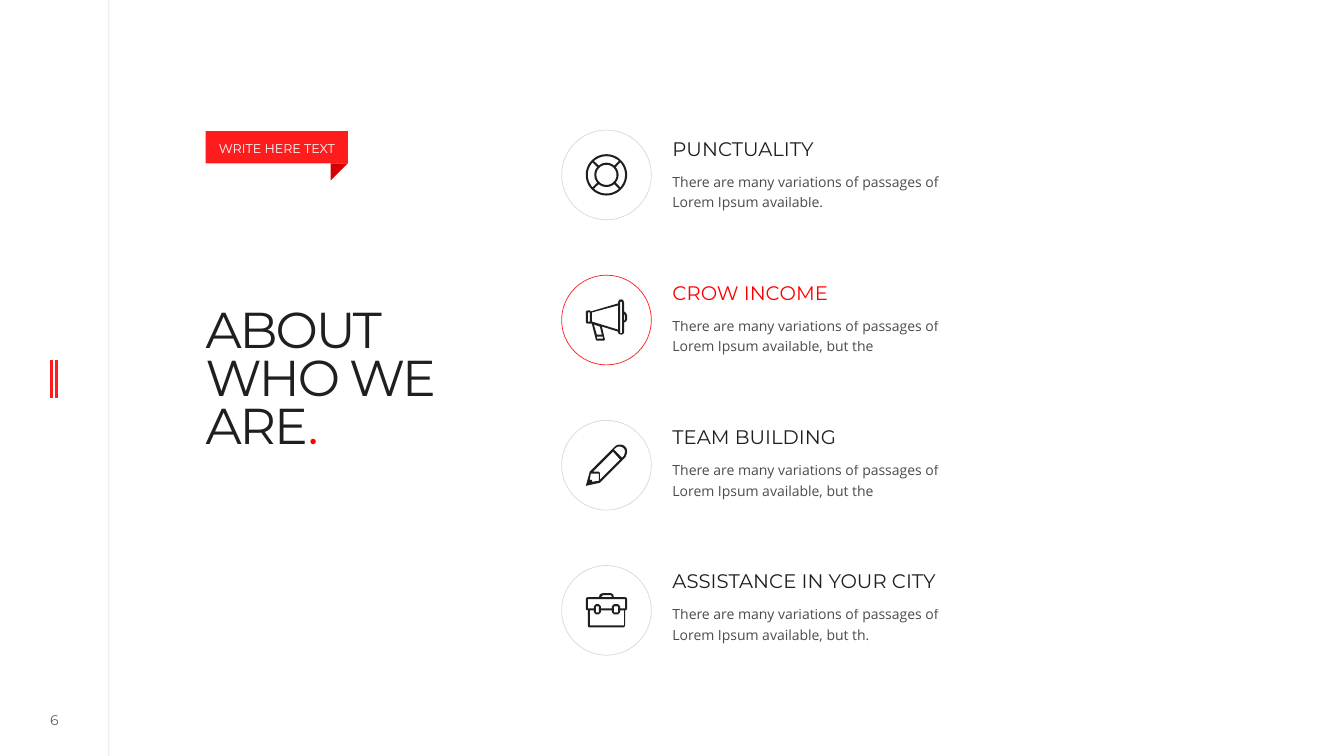
import math
from dataclasses import dataclass

import pptx
import pptx.dml.color
import pptx.enum.shapes
import pptx.enum.text
import pptx.oxml
import pptx.oxml.ns
import pptx.util

Inches = pptx.util.Inches
Pt = pptx.util.Pt
RGBColor = pptx.dml.color.RGBColor
MSO_SHAPE = pptx.enum.shapes.MSO_SHAPE
ANCHOR = pptx.enum.text.MSO_ANCHOR
ALIGN = pptx.enum.text.PP_ALIGN
qn = pptx.oxml.ns.qn

INK = RGBColor(0x1F, 0x1F, 0x1F)
RED = RGBColor(0xFE, 0x1C, 0x1D)
BRIGHT_RED = RGBColor(0xFF, 0x00, 0x00)
DARK_RED = RGBColor(0xD3, 0x01, 0x02)
GREY = RGBColor(0xD9, 0xD9, 0xD9)
WHITE = RGBColor(0xFF, 0xFF, 0xFF)
HEAD_FONT, BODY_FONT = "Montserrat", "Open Sans"

CIRCLE_TOP, CIRCLE_PITCH, CIRCLE_SIZE = 1.29, 1.44, 0.89
TEXT_TOP, TEXT_PITCH = 1.37, 1.43

Contour = list[tuple[float, float]]


def arc(radius: float, start: float, end: float) -> Contour:
    """Points on an arc around the lifebuoy centre, angles in degrees."""
    steps = max(2, round(abs(end - start) / 6))
    angles = [math.radians(start + (end - start) * i / steps) for i in range(steps + 1)]
    return [(20.5 + radius * math.cos(a), 20.5 + radius * math.sin(a)) for a in angles]


def lifebuoy_segment(middle: float) -> Contour:
    """One of the four ring openings, separated by bars of even width."""
    outer, inner = (45 - math.degrees(math.asin(1 / r)) for r in (18.5, 12))
    return arc(18.5, middle - outer, middle + outer) + arc(12, middle + inner, middle - inner)


# Icon contours in hundredths of an inch: the outer edge, then the openings
LIFEBUOY = [arc(20.5, 0, 360), arc(10, 0, 360)] + [lifebuoy_segment(90 * i) for i in range(4)]
MEGAPHONE = [
    [(38, 12), (38, 3), (37, 0.5), (35, 0), (33, 0.5), (32, 3), (32, 4), (5, 12), (4, 11),
     (2, 11), (0.5, 11.5), (0, 13), (0, 22), (0.5, 23.5), (2, 24), (6, 24), (10, 40),
     (11, 41), (18, 41), (19, 40), (16, 27), (32, 32), (32, 33), (33, 34.5), (35, 35),
     (37, 34.5), (38, 33), (38, 23), (40, 22), (41, 20), (41, 16), (40, 13.5)],
    [(39, 20), (38, 22), (38, 14), (39, 16)],
    [(36, 33), (35, 34), (34, 33), (34, 3), (35, 2), (36, 3)],
    [(32, 30), (6, 22), (6, 13), (32, 6)],
    [(16, 35), (11, 35), (8, 25), (14, 27)],
    [(17, 39), (11, 39), (11, 37), (17, 37)],
    [(4, 22), (2, 22), (2, 13), (4, 13)],
]
PENCIL = [
    [(34, 0), (31, 0.5), (29, 2), (4, 27), (0, 41), (14, 38), (39, 13), (40.5, 10),
     (41, 7), (40.5, 4), (39, 2), (37, 0.5)],
    [(38, 11), (36, 13), (28, 5), (30, 3), (32, 2.2), (34, 2), (37, 3), (38.5, 5), (39, 7)],
    [(14, 35), (14, 28), (13, 27), (7, 27), (27, 7), (34, 15)],
    [(13, 36), (6, 37), (6, 35), (4, 35), (5, 29), (13, 29)],
]
BRIEFCASE = [
    [(39, 4), (28, 4), (27, 1), (25, 0), (17, 0), (14, 1), (13, 4), (2, 4), (0.5, 4.5),
     (0, 6), (0, 15), (0.5, 16.5), (2, 17), (2, 32), (2.5, 33.5), (4, 34), (38, 34),
     (39, 32), (39, 17), (40.5, 16.5), (41, 15), (41, 6), (40.5, 4.5)],
    [(39, 15), (34, 15), (34, 13), (32, 11), (28, 11), (26, 13), (26, 15), (15, 15),
     (15, 13), (13, 11), (10, 11), (8, 13), (8, 15), (2, 15), (2, 6), (39, 6)],
    [(28, 13), (32, 13), (32, 19), (28, 19)],
    [(10, 13), (13, 13), (13, 19), (10, 19)],
    [(38, 32), (4, 32), (4, 17), (8, 17), (8, 19), (10, 21), (13, 21), (15, 19), (15, 17),
     (26, 17), (26, 19), (28, 21), (32, 21), (34, 19), (34, 17), (38, 17)],
    [(17, 2), (25, 2), (26, 4), (15, 4)],
]


@dataclass
class Feature:
    heading: str
    body: str
    icon: list[Contour]
    ring: RGBColor = GREY
    color: RGBColor = INK


FEATURES = [
    Feature("PUNCTUALITY", "There are many variations of passages of Lorem Ipsum available.",
            LIFEBUOY),
    Feature("CROW INCOME",
            "There are many variations of passages of Lorem Ipsum available, but the",
            MEGAPHONE, RED, BRIGHT_RED),
    Feature("TEAM BUILDING",
            "There are many variations of passages of Lorem Ipsum available, but the", PENCIL),
    Feature("ASSISTANCE IN YOUR CITY",
            "There are many variations of passages of Lorem Ipsum available, but th.", BRIEFCASE),
]


def set_opacity(element, percent: int) -> None:
    for color in element.iter(qn("a:srgbClr")):
        color.append(pptx.oxml.parse_xml(
            '<a:alpha xmlns:a="http://schemas.openxmlformats.org/drawingml/2006/main" '
            f'val="{percent * 1000}"/>'))


def add_rule(slide, x: float, top: float, bottom: float, color: RGBColor, width: float):
    line = slide.shapes.add_connector(pptx.enum.shapes.MSO_CONNECTOR.STRAIGHT,
                                      Inches(x), Inches(top), Inches(x), Inches(bottom))
    line.line.color.rgb = color
    line.line.width = Pt(width)
    line._element.spPr.append(pptx.oxml.parse_xml(
        '<a:effectLst xmlns:a="http://schemas.openxmlformats.org/drawingml/2006/main"/>'))
    return line


def add_preset(slide, kind, box: tuple, fill: RGBColor | None = None,
               ring: RGBColor | None = None):
    sp = slide.shapes.add_shape(kind, *map(Inches, box))
    sp.shadow.inherit = False
    if fill is None:
        sp.fill.background()
    else:
        sp.fill.solid()
        sp.fill.fore_color.rgb = fill
    if ring is None:
        sp.line.fill.background()
    else:
        sp.line.color.rgb = ring
        sp.line.width = Pt(0.5)
    return sp


def write(sp, text: str, font: str, size: float, color: RGBColor, top: float = 0,
          bottom: float = 0, spacing: float = 1, align=ALIGN.LEFT, anchor=ANCHOR.TOP):
    """Fill a shape with one paragraph and return the paragraph."""
    tf = sp.text_frame
    tf.word_wrap = True
    tf.vertical_anchor = anchor
    tf.margin_left = tf.margin_right = 0
    tf.margin_top, tf.margin_bottom = Inches(top), Inches(bottom)
    p = tf.paragraphs[0]
    p.text = text
    p.alignment = align
    p.line_spacing = spacing
    p.font.name, p.font.size = font, Pt(size)
    p.font.color.rgb = color
    return p


def add_text(slide, box: tuple, *args, **kwargs):
    return write(slide.shapes.add_textbox(*map(Inches, box)), *args, **kwargs)


def add_icon(slide, contours: list[Contour], left: float, middle: float) -> None:
    height = max(y for _, y in contours[0]) / 100
    tenths = [[(x * 10, y * 10) for x, y in contour] for contour in contours]
    builder = slide.shapes.build_freeform(*tenths[0][0], scale=Inches(1) / 1000)
    for i, points in enumerate(tenths):
        if i:
            builder.move_to(*points[0])
        builder.add_line_segments(points[1:], close=True)
    sp = builder.convert_to_shape(Inches(left), Inches(middle - height / 2))
    sp.shadow.inherit = False
    sp.fill.solid()
    sp.fill.fore_color.rgb = INK
    sp.line.fill.background()


def add_feature(slide, index: int, feature: Feature) -> None:
    top = CIRCLE_TOP + index * CIRCLE_PITCH
    add_preset(slide, MSO_SHAPE.OVAL, (5.57, top, CIRCLE_SIZE, CIRCLE_SIZE), ring=feature.ring)
    add_icon(slide, feature.icon, 5.81, top + CIRCLE_SIZE / 2)
    top = TEXT_TOP + index * TEXT_PITCH
    add_text(slide, (6.67, top, 2.74, 0.28), feature.heading, HEAD_FONT, 14, feature.color,
             0.05, 0.05, 0.7)
    p = add_text(slide, (6.67, top + 0.27, 2.74, 0.5), feature.body, BODY_FONT, 10, INK,
                 0.05, 0.05, 1.2)
    set_opacity(p._p, 80)


def main() -> None:
    prs = pptx.Presentation()
    prs.slide_width, prs.slide_height = Inches(13.33), Inches(7.5)
    slide = prs.slides.add_slide(prs.slide_layouts[6])

    margin_rule = add_rule(slide, 1.08, 0, 7.5, INK, 0.5)
    set_opacity(margin_rule._element, 20)
    for x in (0.51, 0.56):
        add_rule(slide, x, 3.57, 3.95, RED, 2)
    number = add_text(slide, (0.26, 7.02, 0.56, 0.25), "6", HEAD_FONT, 10, INK,
                      align=ALIGN.CENTER, anchor=ANCHOR.MIDDLE)
    set_opacity(number._p, 70)

    title = add_text(slide, (2.04, 2.86, 4.62, 1.77), "ABOUT\vWHO WE\vARE", HEAD_FONT, 36, INK,
                     top=0.21, spacing=0.8)
    dot = title.add_run()
    dot.text = "."
    dot.font.color.rgb = BRIGHT_RED
    for r in title.runs:
        r._r.get_or_add_rPr().set("spc", "-150")

    for i, feature in enumerate(FEATURES):
        add_feature(slide, i, feature)

    ribbon = add_preset(slide, MSO_SHAPE.RECTANGLE, (2.04, 1.3, 1.41, 0.32), RED)
    write(ribbon, "WRITE HERE TEXT", HEAD_FONT, 9, WHITE, 0.07, 0.05,
          align=ALIGN.CENTER, anchor=ANCHOR.MIDDLE)
    fold = add_preset(slide, MSO_SHAPE.RIGHT_TRIANGLE, (3.28, 1.62, 0.17, 0.17), DARK_RED)
    fold.rotation = 90

    prs.save("out.pptx")


if __name__ == "__main__":
    main()
